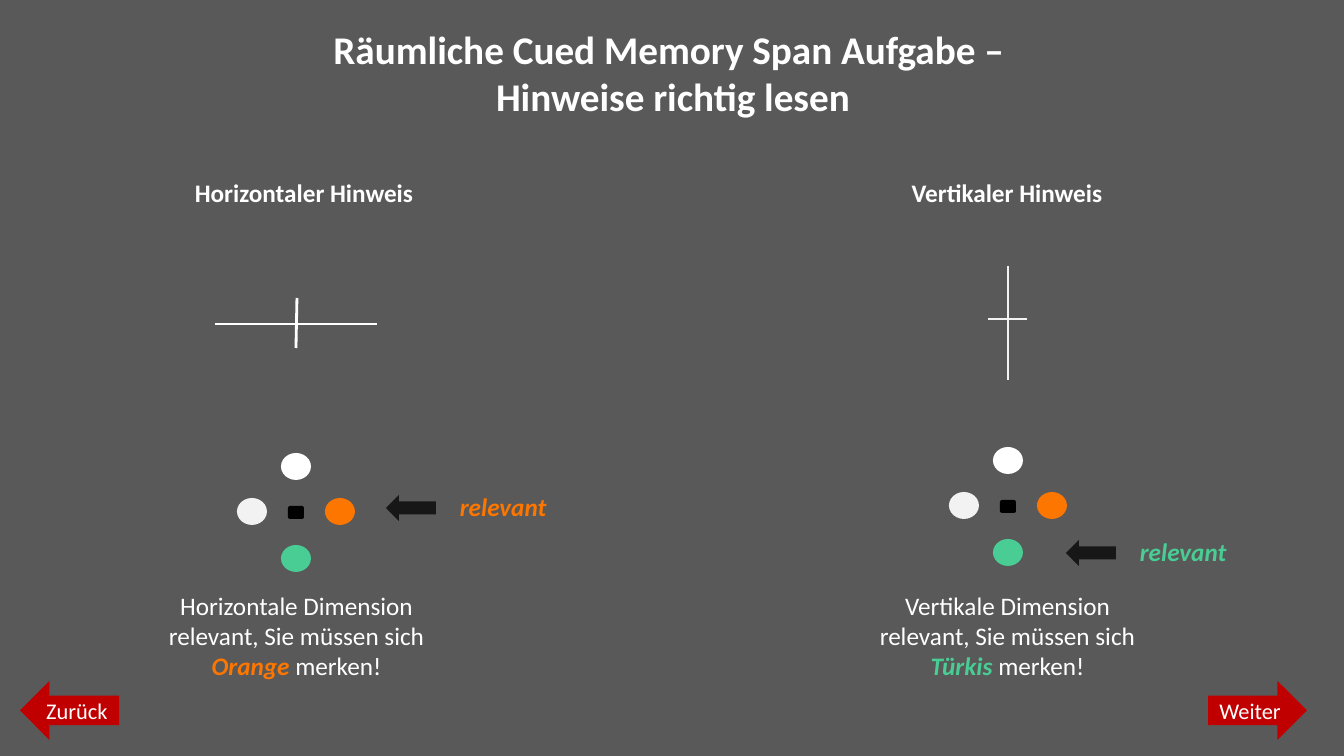
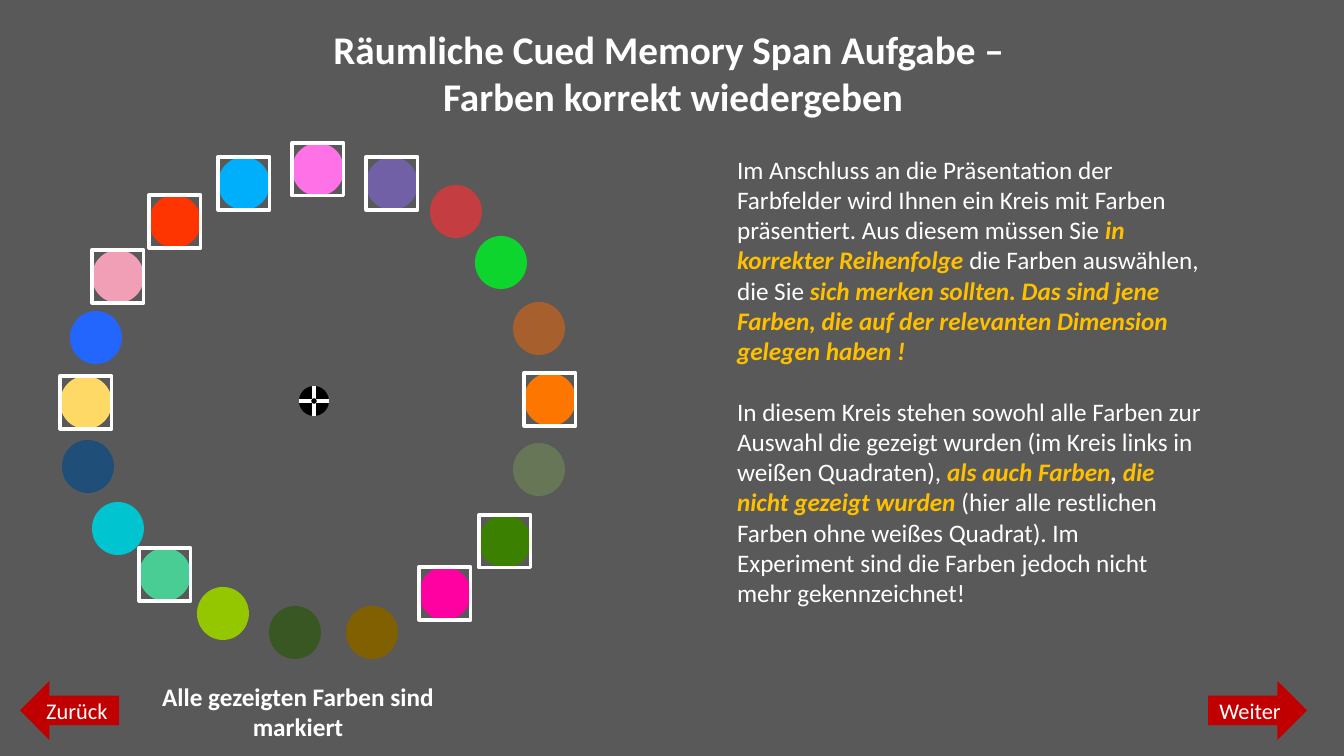
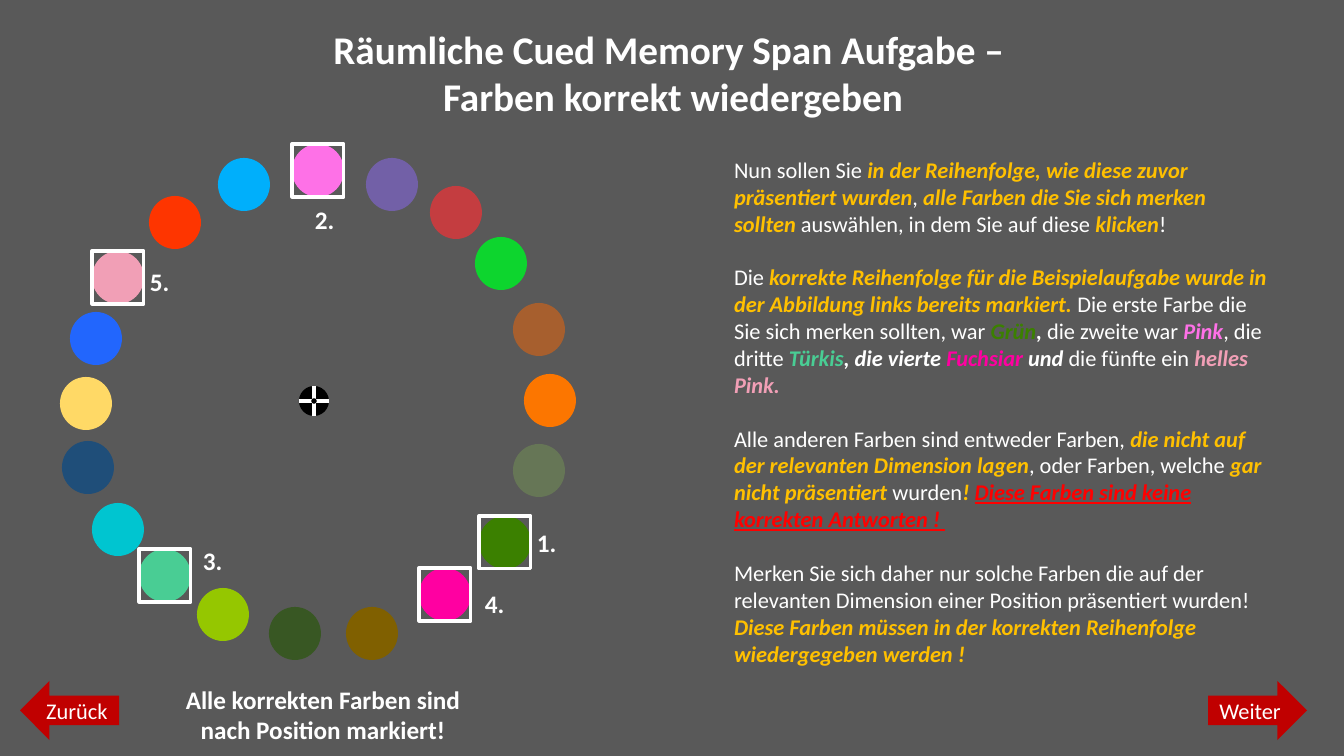
from dataclasses import dataclass, field

from lxml.etree import SubElement
from pptx import Presentation
from pptx.dml.color import RGBColor
from pptx.enum.shapes import MSO_CONNECTOR as Connector, MSO_SHAPE as Shape
from pptx.enum.text import MSO_ANCHOR as Anchor, MSO_AUTO_SIZE as AutoSize, PP_ALIGN as Align
from pptx.oxml.ns import qn
from pptx.util import Pt

PX = 914400 / 100.8
TITLE_ONLY, TITLE_AND_BODY = 5, 1


@dataclass(frozen=True)
class Style:
    """Character formatting of one run."""
    color: str = "FFFFFF"
    bold: bool = False
    italic: bool = False
    underline: bool = False


@dataclass(frozen=True)
class Theme:
    """Colours and type sizes of the deck."""
    font: str = "Calibri"
    back: str = "595959"
    white: str = "FFFFFF"
    pale: str = "F2F2F2"
    black: str = "000000"
    pointer: str = "181717"
    nav: str = "C00000"
    orange: str = "FC7600"
    turquoise: str = "49CD94"
    green: str = "3B8000"
    pink: str = "FE71E7"
    fuchsia: str = "FF00A1"
    rose: str = "F19FB6"
    key: str = "FFC000"
    warning: str = "FF0000"
    title_size: int = 28
    text_size: int = 18
    small_size: int = 16
    line_height: float = 1.2


@dataclass(frozen=True)
class Cue:
    """Contents of one cue column."""
    heading: str
    heading_dx: int
    strokes: tuple
    stroke_color: str
    dots_at: tuple
    pointer_at: tuple
    color: str
    caption: tuple = field(default_factory=tuple)


T = Theme()
PLAIN = Style()
BOLD = Style(bold=True)
STRONG = Style(bold=True, italic=True)


def accent(color, underline=False):
    """Return the bold italic style in a colour."""
    return Style(color, True, True, underline)


KEY = accent(T.key)

SWATCHES = {
    T.rose: (32, 107), T.green: (419, 372), "00C5D0": (32, 359), T.pink: (232, 0),
    "FE3500": (89, 52), T.orange: (464, 230), T.turquoise: (79, 405), "7260A7": (306, 14),
    "00AFFB": (158, 14), "95C700": (137, 444), "667656": (453, 300), "0DD52E": (415, 93),
    "1F4E79": (2, 297), "A75F2E": (453, 159), "2266FD": (10, 168), "FFD966": (0, 233),
    "806000": (286, 463), "385723": (209, 463), T.fuchsia: (359, 424), "C43D40": (370, 42),
}
SHOWN = (T.rose, "FE3500", "00AFFB", T.pink, "7260A7", "FFD966", T.orange,
         T.turquoise, T.fuchsia, T.green)
ANSWERS = {T.green: ("1.", 48, 6), T.pink: ("2.", 13, 55), T.turquoise: ("3.", 54, -9),
           T.fuchsia: ("4.", 56, 15), T.rose: ("5.", 48, 10)}

CUES = {
    (155, 172): Cue(
        "Horizontaler Hinweis", 23, ((60, 152, 222, 152), (142, 126, 141, 176)), T.white,
        (82, 281), (231, 323), T.orange,
        (("Horizontale Dimension relevant, Sie müssen sich ", PLAIN),
         ("Orange", accent(T.orange)), (" merken!", PLAIN))),
    (866, 172): Cue(
        "Vertikaler Hinweis", 15, ((142, 94, 142, 208), (161, 147, 122, 147)), T.pale,
        (83, 275), (200, 368), T.turquoise,
        (("Vertikale Dimension relevant, Sie müssen sich ", PLAIN),
         ("Türkis", accent(T.turquoise)), (" merken!", PLAIN))),
}

RECALL = (
    (("Im Anschluss an die Präsentation der Farbfelder wird Ihnen ein Kreis mit Farben "
      "präsentiert. Aus diesem müssen Sie ", PLAIN),
     ("in korrekter Reihenfolge ", KEY),
     ("die Farben auswählen, die Sie ", PLAIN),
     ("sich merken sollten. Das sind jene Farben, die auf der relevanten Dimension "
      "gelegen haben ! ", KEY)),
    (("In diesem Kreis stehen sowohl alle Farben zur Auswahl die gezeigt wurden "
      "(im Kreis links in weißen Quadraten), ", PLAIN),
     ("als auch Farben", KEY), (", ", STRONG), ("die nicht gezeigt wurden ", KEY),
     ("(hier alle restlichen Farben ohne weißes Quadrat). Im Experiment sind die Farben "
      "jedoch nicht mehr gekennzeichnet!", PLAIN)),
)
ORDER = (
    (("Nun sollen Sie ", PLAIN),
     ("in der Reihenfolge, wie diese zuvor präsentiert wurden", KEY), (", ", PLAIN),
     ("alle Farben die Sie sich merken sollten ", KEY),
     ("auswählen, in dem Sie auf diese ", PLAIN), ("klicken", KEY), ("! ", PLAIN)),
    (("Die ", PLAIN),
     ("korrekte Reihenfolge für die Beispielaufgabe wurde in der Abbildung links "
      "bereits markiert. ", KEY),
     ("Die erste Farbe die Sie sich merken sollten, war ", PLAIN),
     ("Grün", accent(T.green)), (", ", STRONG), ("die zweite war ", PLAIN),
     ("Pink", accent(T.pink)), (", die dritte ", PLAIN),
     ("Türkis", accent(T.turquoise)), (", die vierte ", STRONG),
     ("Fuchsiar", accent(T.fuchsia)), (" und ", STRONG), ("die fünfte ein ", PLAIN),
     ("helles Pink.", accent(T.rose))),
    (("Alle anderen Farben sind entweder Farben, ", PLAIN),
     ("die nicht auf der relevanten Dimension lagen", KEY),
     (", oder Farben, welche ", PLAIN), ("gar nicht präsentiert ", KEY),
     ("wurden", PLAIN), ("! ", KEY),
     ("Diese Farben sind keine korrekten Antworten ! ", accent(T.warning, True))),
    (("Merken Sie sich daher nur solche Farben die auf der relevanten Dimension einer "
      "Position präsentiert wurden! ", PLAIN),
     ("Diese Farben müssen in der korrekten Reihenfolge wiedergegeben werden !", KEY)),
)


def emu(*lengths):
    """Turn pixel lengths into EMU."""
    return [round(n * PX) for n in lengths]


def rgb(color):
    """Return a colour object for a hex string."""
    return RGBColor.from_string(color)


def format_run(r, size, style):
    """Apply font, size and style to a run."""
    r.font.name, r.font.size = T.font, Pt(size)
    r.font.bold, r.font.italic = style.bold, style.italic
    r.font.underline = style.underline
    r.font.color.rgb = rgb(style.color)


def fill_paragraph(p, runs, size, align=Align.LEFT):
    """Write styled runs into a paragraph."""
    p.alignment = align
    for text, style in runs:
        r = p.add_run()
        r.text = text
        format_run(r, size, style)


def add_text(shapes, box, runs, align=Align.CENTER):
    """Add a wrapping text box with one paragraph."""
    tf = shapes.add_textbox(*emu(*box)).text_frame
    tf.word_wrap = True
    fill_paragraph(tf.paragraphs[0], runs, T.text_size, align)


def add_shape(shapes, kind, box, fill=None, line=None, width=1):
    """Add a preset shape with plain fill and outline."""
    sp = shapes.add_shape(kind, *emu(*box))
    sp.shadow.inherit = False
    if fill:
        sp.fill.solid()
        sp.fill.fore_color.rgb = rgb(fill)
    else:
        sp.fill.background()
    if line:
        sp.line.color.rgb, sp.line.width = rgb(line), Pt(width)
    else:
        sp.line.fill.background()
    return sp


def add_line(shapes, ends, color, width):
    """Add a straight line without shadow."""
    s = shapes.add_connector(Connector.STRAIGHT, *emu(*ends))
    s.line.color.rgb, s.line.width = rgb(color), Pt(width)
    SubElement(s._element.spPr, qn("a:effectLst"))


def place(sp, box):
    """Move a placeholder to a box."""
    sp.left, sp.top, sp.width, sp.height = emu(*box)


def add_nav(slide, kind, box, label):
    """Add a labelled navigation arrow."""
    tf = add_shape(slide.shapes, kind, box, T.nav).text_frame
    tf.vertical_anchor, tf.word_wrap = Anchor.MIDDLE, False
    fill_paragraph(tf.paragraphs[0], ((label, PLAIN),), T.small_size, Align.CENTER)


def add_page(prs, layout, subtitle):
    """Add a slide with title and navigation arrows."""
    slide = prs.slides.add_slide(prs.slide_layouts[layout])
    title = slide.shapes.title
    place(title, (319, 20, 708, 105))
    tf = title.text_frame
    tf.text = f"Räumliche Cued Memory Span Aufgabe – \n{subtitle}"
    tf.word_wrap, tf.auto_size = False, AutoSize.NONE
    for p in tf.paragraphs:
        p.alignment = Align.CENTER
        format_run(p.runs[0], T.title_size, BOLD)
    add_nav(slide, Shape.RIGHT_ARROW, (1208, 681, 99, 59), "Weiter")
    add_nav(slide, Shape.LEFT_ARROW, (20, 681, 99, 59), "Zurück")
    return slide


def fill_body(slide, box, paragraphs, size):
    """Fill the body placeholder with unbulleted paragraphs."""
    body = slide.placeholders[1]
    place(body, box)
    tf = body.text_frame
    tf.word_wrap, tf.auto_size = True, AutoSize.NONE
    for i, runs in enumerate(paragraphs):
        p = tf.add_paragraph() if i else tf.paragraphs[0]
        p.space_before = Pt(size * T.line_height if i else 0)
        pPr = p._p.get_or_add_pPr()
        pPr.set("marL", "0")
        pPr.set("indent", "0")
        SubElement(pPr, qn("a:buNone"))
        fill_paragraph(p, runs, size)


def add_dots(slide, x, y):
    """Add four colour dots around a fixation square."""
    shapes = slide.shapes.add_group_shape().shapes
    for dx, dy, color in ((88, 45, T.orange), (44, 92, T.turquoise),
                          (44, 0, T.white), (0, 45, T.pale)):
        add_shape(shapes, Shape.OVAL, (x + dx, y + dy, 30, 27), color)
    add_shape(shapes, Shape.ROUNDED_RECTANGLE, (x + 51, y + 53, 16, 13), T.black)


def add_cue(slide, x, y, cue):
    """Add one column that explains a cue."""
    add_text(slide.shapes, (x + cue.heading_dx, y, 252, 40), ((cue.heading, BOLD),))
    cross = slide.shapes.add_group_shape().shapes
    for x1, y1, x2, y2 in cue.strokes:
        add_line(cross, (x + x1, y + y1, x + x2, y + y2), cue.stroke_color, 2)
    dx, dy = cue.dots_at
    add_dots(slide, x + dx, y + dy)
    dx, dy = cue.pointer_at
    add_shape(slide.shapes, Shape.LEFT_ARROW, (x + dx, y + dy, 50, 26), T.pointer)
    add_text(slide.shapes, (x + dx + 64, y + dy - 9, 115, 40),
             (("relevant", accent(cue.color)),), Align.LEFT)
    add_text(slide.shapes, (x, y + 413, 283, 102), cue.caption)


def add_wheel(slide, x, y, framed, labels):
    """Add the colour wheel with frames and position labels."""
    shapes = slide.shapes.add_group_shape().shapes
    for color, (dx, dy) in SWATCHES.items():
        add_shape(shapes, Shape.OVAL, (x + dx, y + dy, 52, 53), color)
    for color in framed:
        dx, dy = SWATCHES[color]
        add_shape(shapes, Shape.RECTANGLE, (x + dx, y + dy, 52, 53), None, T.white, 2.25)
    for color, (label, lx, ly) in labels.items():
        dx, dy = SWATCHES[color]
        add_text(shapes, (x + dx + lx, y + dy + ly, 40, 36), ((label, BOLD),), Align.LEFT)


def add_fixation(slide, x, y, size):
    """Add the round fixation mark."""
    shapes = slide.shapes.add_group_shape().shapes
    half = size // 2
    add_shape(shapes, Shape.OVAL, (x, y, size, size), T.black)
    add_line(shapes, (x + half, y, x + half, y + size), T.white, 3)
    add_line(shapes, (x, y + half, x + size, y + half), T.white, 3)
    add_shape(shapes, Shape.OVAL, (x + half - 2, y + half - 2, 4, 4), T.black, T.black)


def cue_slide(prs):
    """Build the slide that compares both cues."""
    slide = add_page(prs, TITLE_ONLY, "Hinweise richtig lesen")
    for (x, y), cue in CUES.items():
        add_cue(slide, x, y, cue)


def wheel_slide(prs, wheel_at, framed, labels, caption_box, caption, body_box, body, size):
    """Build a slide with colour wheel and explanation."""
    slide = add_page(prs, TITLE_AND_BODY, "Farben korrekt wiedergeben")
    fill_body(slide, body_box, body, size)
    add_text(slide.shapes, caption_box, ((caption, BOLD),))
    add_wheel(slide, *wheel_at, framed, labels)
    add_fixation(slide, 299, 386, 30)


def main():
    """Build and save the deck."""
    prs = Presentation()
    prs.slide_width, prs.slide_height = emu(1344, 756)
    back = prs.slide_master.background.fill
    back.solid()
    back.fore_color.rgb = rgb(T.back)
    cue_slide(prs)
    wheel_slide(prs, (60, 143), SHOWN, {}, (144, 676, 308, 72),
                "Alle gezeigten Farben sind markiert",
                (727, 149, 485, 526), RECALL, T.text_size)
    wheel_slide(prs, (60, 144), ANSWERS, ANSWERS, (169, 679, 308, 72),
                "Alle korrekten Farben sind nach Position markiert!",
                (724, 151, 555, 581), ORDER, T.small_size)
    prs.save("out.pptx")


main()
